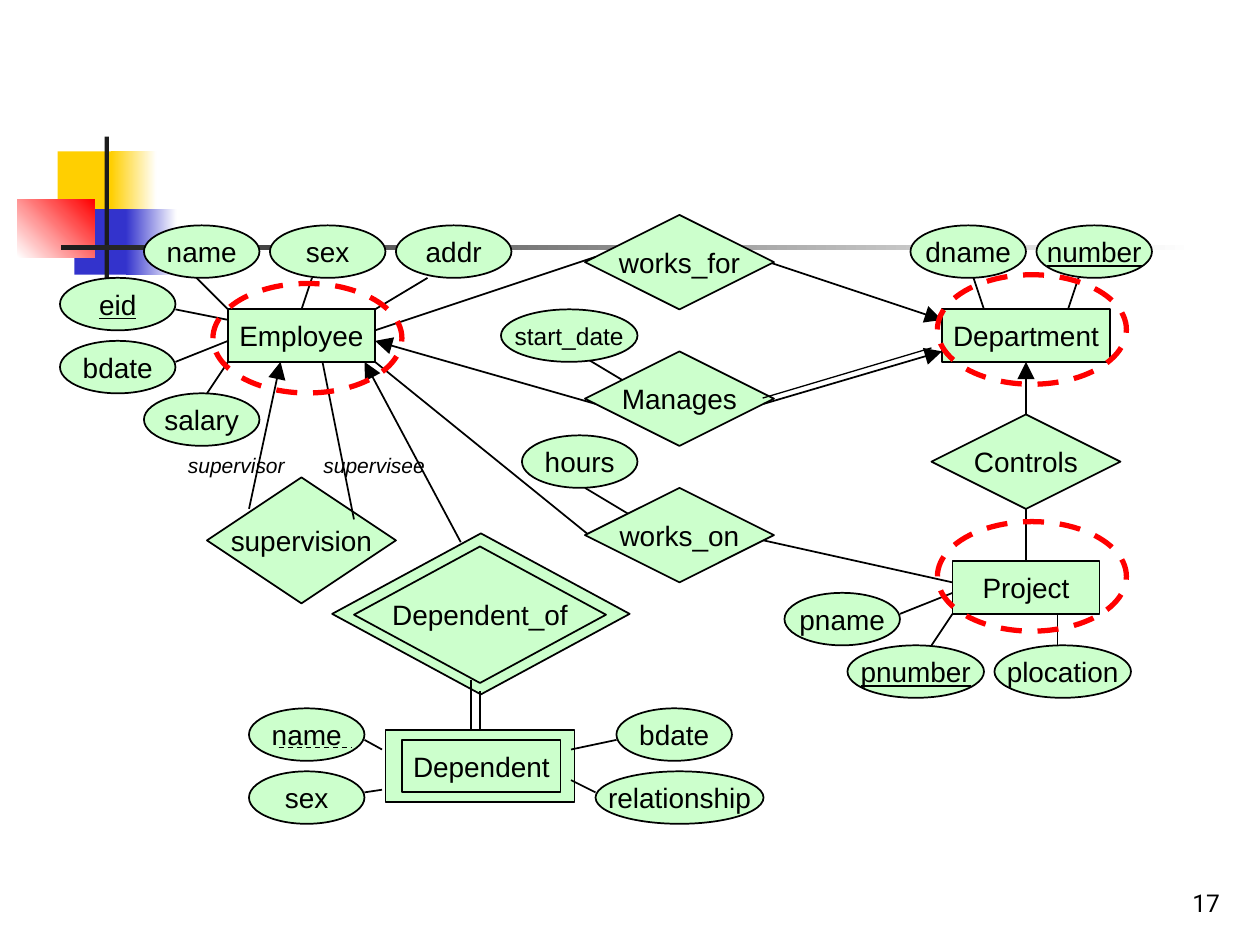
"""Build a slide with the entity-relationship diagram of an employee database."""
import pptx
import pptx.dml.color
import pptx.enum.dml
import pptx.enum.shapes
import pptx.enum.text
import pptx.oxml
import pptx.oxml.ns
import pptx.util

Pt = pptx.util.Pt
PRESET = pptx.enum.shapes.MSO_SHAPE
ALIGN = pptx.enum.text.PP_ALIGN
ANCHOR = pptx.enum.text.MSO_ANCHOR
DASH = pptx.enum.dml.MSO_LINE.DASH

COLORS = {"gold": "FFCF01", "blue": "3333CC", "red": "FF0000", "ink": "1C1C1C",
          "white": "FFFFFF", "black": "000000", "mint": "CCFFCC"}
ORIGIN_X, ORIGIN_Y = 34.3, 128.8
LINE_WIDTH, THIN_WIDTH, RING_WIDTH = 1, 0.75, 3
ATTRIBUTE_WIDTH, ATTRIBUTE_HEIGHT = 66, 30
RELATION_WIDTH, RELATION_HEIGHT = 108, 54
TOP, BOTTOM = 0, 2

DECORATION = [
    ((33, 86.5, 34.5, 37.5), ["gold"], 0),
    ((63.5, 86.5, 26, 37.5), ["gold", "white"], 0),
    ((42.5, 119.5, 33, 37.5), ["blue"], 0),
    ((72, 119.5, 29, 37.5), ["blue", "white"], 0),
    ((10, 113.8, 44, 33.2), ["white", "red"], 45),
    ((59.8, 78, 2.4, 82.8), ["ink"], 0),
    ((34.6, 140.2, 648, 2.4), ["ink", "white"], 0),
]

WEAK_FRAMES = [
    ("Dependent frame", PRESET.RECTANGLE, (186, 288.5, 108, 41)),
    ("Dependent_of frame", PRESET.DIAMOND, (155.5, 176, 170, 92)),
]
ENTITIES = [
    ("Employee", (96, 48, 84, 30)),
    ("Department", (504, 48, 96, 30)),
    ("Project", (510, 192, 84, 30)),
    ("Dependent", (195.5, 294, 90.5, 30)),
]
RELATIONS = [
    ("works_for", (300, -6, RELATION_WIDTH, RELATION_HEIGHT)),
    ("Manages", (300, 72, RELATION_WIDTH, RELATION_HEIGHT)),
    ("works_on", (300, 150, RELATION_WIDTH, RELATION_HEIGHT)),
    ("Controls", (498, 108, RELATION_WIDTH, RELATION_HEIGHT)),
    ("supervision", (84, 144, RELATION_WIDTH, 72)),
    ("Dependent_of", (168, 183.5, 144, 78)),
]
ATTRIBUTES = [
    ("name", 48, 0, {}), ("sex", 120, 0, {}), ("addr", 192, 0, {}),
    ("eid", 0, 30, {"underline": True}), ("bdate", 0, 66, {}), ("salary", 48, 96, {}),
    ("start_date", 252, 48, {"width": 78, "size": 14}), ("hours", 264, 120, {}),
    ("dname", 486, 0, {}), ("number", 558, 0, {"underline": True}),
    ("pname", 414, 210, {}), ("pnumber", 450, 240, {"width": 78, "underline": True}),
    ("plocation", 534, 240, {"width": 78}),
    ("name", 108, 276, {}), ("sex", 108, 312, {}),
    ("bdate", 318, 276, {}), ("relationship", 306, 312, {"width": 96}),
]
ROLES = [("supervisor", (65.8, 126, 70, 21.5)), ("supervisee", (141.5, 126, 76, 21.5))]
RINGS = [(87.4, 33.2), (501.4, 28.2), (501.4, 169.3)]

BACK_LINKS = [
    ((180, 78), (306, 180), {}),
    ((324, 90), (294, 72), {}),
    ((300, 150), (330, 168), {}),
    ((235, 288.5), (235, 260), {}),
    ((174, 78), (229, 181), {"arrow": "headEnd"}),
    ((396, 18), (504, 54), {"arrow": "tailEnd"}),
]
FRONT_LINKS = [
    ((126, 78), (108, 162), {"arrow": "headEnd"}),
    ((150, 78), (168, 168), {}),
    ((96, 78), (84, 96), {}),
    ((96, 48), (78, 30), {}),
    ((96, 54), (66, 48), {}),
    ((96, 66), (66, 78), {}),
    (("Employee", TOP), (144, 30), {}),
    ((180, 48), (210, 30), {}),
    ((180, 60), (306, 18), {}),
    ((180, 66), (306, 102), {"arrow": "headEnd"}),
    ((528, 48), (522, 30), {}),
    ((576, 48), (582, 30), {}),
    ((504, 72), (402, 102), {"arrow": "headEnd"}),
    ((401.5, 98.7), (498, 70), {"width": THIN_WIDTH}),
    (("Controls", TOP), ("Department", BOTTOM), {"arrow": "tailEnd"}),
    (("Project", TOP), ("Controls", BOTTOM), {}),
    ((402, 180), (510, 204), {}),
    ((510, 222), (498, 240), {}),
    ((510, 210), (480, 222), {}),
    ((570, 222), (570, 240), {}),
    ((184, 299.5), (174, 294), {}),
    ((184, 322.5), (174, 324), {}),
    ((292, 299.5), (318, 294), {}),
    ((292, 317), (306, 324), {}),
    (("Dependent frame", TOP), (240, 265.8), {}),
    ((125, 298.2), (166.5, 298.2), {"width": THIN_WIDTH, "dashed": True}),
]


def rgb(name):
    return pptx.dml.color.RGBColor.from_string(COLORS[name])


def on_slide(x, y, *extent):
    return [Pt(value) for value in (ORIGIN_X + x, ORIGIN_Y + y, *extent)]


def write(shape, text, size, font="Arial", align=ALIGN.CENTER, anchor=ANCHOR.MIDDLE,
          wrap=False, underline=None, italic=None):
    frame = shape.text_frame
    frame.word_wrap, frame.vertical_anchor = wrap, anchor
    paragraph = frame.paragraphs[0]
    paragraph.alignment = align
    run = paragraph.add_run()
    run.text = text
    run.font.size, run.font.name = Pt(size), font
    run.font.underline, run.font.italic = underline, italic
    run.font.color.rgb = rgb("black")


def add_decoration(slide, box, colors, angle):
    block = slide.shapes.add_shape(PRESET.RECTANGLE, *[Pt(value) for value in box])
    block.shadow.inherit = False
    block.line.fill.background()
    if len(colors) == 1:
        block.fill.solid()
        block.fill.fore_color.rgb = rgb(colors[0])
        return
    block.fill.gradient()
    block.fill.gradient_angle = angle
    for stop, color in zip(block.fill.gradient_stops, colors):
        stop.color.rgb = rgb(color)


def add_node(slide, preset, box, text="", size=16, underline=None):
    node = slide.shapes.add_shape(preset, *on_slide(*box))
    node.shadow.inherit = False
    node.fill.solid()
    node.fill.fore_color.rgb = rgb("mint")
    node.line.color.rgb, node.line.width = rgb("black"), Pt(LINE_WIDTH)
    if text:
        write(node, text, size, underline=underline)
    return node


def add_link(slide, nodes, start, end, width=LINE_WIDTH, dashed=False, arrow=None):
    points = [(0, 0) if isinstance(end_point[0], str) else end_point
              for end_point in (start, end)]
    link = slide.shapes.add_connector(pptx.enum.shapes.MSO_CONNECTOR.STRAIGHT,
                                      *on_slide(*points[0]), *on_slide(*points[1]))
    for end_point, connect in ((start, link.begin_connect), (end, link.end_connect)):
        if isinstance(end_point[0], str):
            connect(nodes[end_point[0]], end_point[1])
    link.line.color.rgb, link.line.width = rgb("black"), Pt(width)
    if dashed:
        link.line.dash_style = DASH
    if arrow:
        tip = f'<a:{arrow} {pptx.oxml.ns.nsdecls("a")} type="triangle" w="lg" len="lg"/>'
        link.line._get_or_add_ln().append(pptx.oxml.parse_xml(tip))
    link._element.spPr.append(
        pptx.oxml.parse_xml(f'<a:effectLst {pptx.oxml.ns.nsdecls("a")}/>'))


def main():
    deck = pptx.Presentation()
    deck.slide_width, deck.slide_height = Pt(720), Pt(540)
    slide = deck.slides.add_slide(deck.slide_layouts[6])
    for box, colors, angle in DECORATION:
        add_decoration(slide, box, colors, angle)
    page_number = slide.shapes.add_textbox(Pt(554.4), Pt(491.8), Pt(149.8), Pt(36))
    write(page_number, "17", 14, "Roboto", ALIGN.RIGHT, ANCHOR.BOTTOM, wrap=True)

    nodes = {key: add_node(slide, preset, box) for key, preset, box in WEAK_FRAMES}
    for start, end, style in BACK_LINKS:
        add_link(slide, nodes, start, end, **style)
    for preset, group in ((PRESET.RECTANGLE, ENTITIES), (PRESET.DIAMOND, RELATIONS)):
        for text, box in group:
            nodes[text] = add_node(slide, preset, box, text)
    for text, x, y, style in ATTRIBUTES:
        box = (x, y, style.get("width", ATTRIBUTE_WIDTH), ATTRIBUTE_HEIGHT)
        add_node(slide, PRESET.OVAL, box, text, style.get("size", 16), style.get("underline"))
    for text, box in ROLES:
        role = slide.shapes.add_textbox(*on_slide(*box))
        write(role, text, 12, anchor=ANCHOR.TOP, italic=True)
        role.text_frame.auto_size = pptx.enum.text.MSO_AUTO_SIZE.SHAPE_TO_FIT_TEXT
    for start, end, style in FRONT_LINKS:
        add_link(slide, nodes, start, end, **style)
    for x, y in RINGS:
        ring = slide.shapes.add_shape(PRESET.OVAL, *on_slide(x, y, 108, 62.6))
        ring.shadow.inherit = False
        ring.fill.background()
        ring.line.color.rgb, ring.line.width = rgb("red"), Pt(RING_WIDTH)
        ring.line.dash_style = DASH
    deck.save("out.pptx")


if __name__ == "__main__":
    main()
